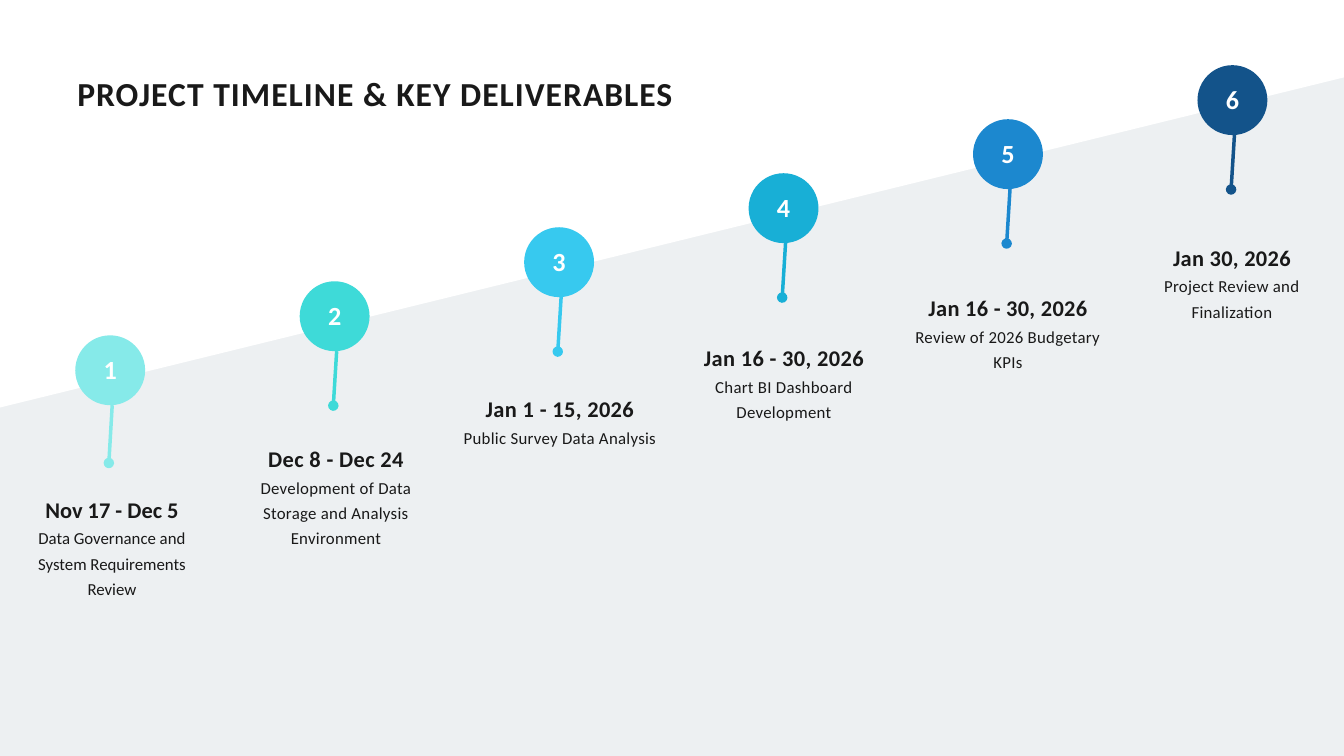
"""Build the project timeline slide with six rising milestones."""
from lxml import etree
from pptx import Presentation
from pptx import util as u
from pptx.dml.color import RGBColor
from pptx.enum import shapes, text
from pptx.oxml import ns

INK = RGBColor(0x19, 0x19, 0x19)
WHITE = RGBColor(0xFF, 0xFF, 0xFF)
PANEL = RGBColor(0xED, 0xF0, 0xF2)
BORDER = RGBColor(0xF4, 0xF4, 0xF4)
AQUA = RGBColor(0x86, 0xEA, 0xE9)
TURQUOISE = RGBColor(0x3E, 0xDA, 0xD8)
SKY = RGBColor(0x37, 0xC9, 0xEF)
CYAN = RGBColor(0x18, 0xAF, 0xD6)
BLUE = RGBColor(0x1C, 0x88, 0xCF)
NAVY = RGBColor(0x13, 0x53, 0x8A)

MILESTONES = [
    (AQUA, "Nov 17 - Dec 5", "Data Governance and System Requirements Review", 0, 0),
    (TURQUOISE, "Dec 8 - Dec 24", "Development of Data Storage and Analysis Environment", 0.4, 0.3),
    (SKY, "Jan 1 - 15, 2026", "Public Survey Data Analysis", 0.4, 0.3),
    (CYAN, "Jan 16 - 30, 2026", "Chart BI Dashboard Development", 0.4, 0.3),
    (BLUE, "Jan 16 - 30, 2026", "Review of 2026 Budgetary KPIs", 0.3, 0.3),
    (NAVY, "Jan 30, 2026", "Project Review and Finalization", 0.3, 0.3),
]
STEP_X = 3.34
STEP_Y = 4.02 / 5
DIAMETER = 1.04


class TimelineSlide:
    """Hold the style and the current slide, and draw its elements."""

    font_name = "Calibri"

    def __init__(self, slide):
        self.slide = slide

    def style(self, paragraph, size, line, color=INK, bold=True, spacing=0,
              align=text.PP_ALIGN.CENTER):
        paragraph.alignment = align
        paragraph.line_spacing = u.Pt(line)
        for run in paragraph.runs:
            run.font.name = self.font_name
            run.font.size = u.Pt(size)
            run.font.bold = bold
            run.font.color.rgb = color
            if spacing:
                run.font._element.set("spc", str(round(spacing * 100)))

    def borders(self, cell):
        properties = cell._tc.get_or_add_tcPr()
        for side in ("a:lnL", "a:lnR", "a:lnT", "a:lnB"):
            line = etree.SubElement(properties, ns.qn(side), w="0")
            fill = etree.SubElement(line, ns.qn("a:solidFill"))
            etree.SubElement(fill, ns.qn("a:srgbClr"), val=str(BORDER))

    def schedule(self, milestones):
        frame = self.slide.shapes.add_table(
            1, len(milestones), u.Inches(0), u.Inches(-0.03), u.Inches(20), u.Inches(11.28))
        table = frame.table
        table.first_row = table.horz_banding = False
        for index, (_, dates, task, date_spacing, task_spacing) in enumerate(milestones):
            cell = table.cell(0, index)
            self.borders(cell)
            cell.fill.solid()
            cell.fill.fore_color.rgb = PANEL
            cell.margin_left = cell.margin_right = cell.margin_bottom = u.Inches(0.21)
            cell.margin_top = u.Inches(7.33 - 0.75 * index)
            cell.text_frame.text = f"{dates}\n{task}"
            date_line, task_line = cell.text_frame.paragraphs
            self.style(date_line, 24, 36, spacing=date_spacing)
            self.style(task_line, 18, 27, bold=False, spacing=task_spacing)

    def shape(self, kind, left, top, width, height, color):
        shape = self.slide.shapes.add_shape(
            kind, u.Inches(left), u.Inches(top), u.Inches(width), u.Inches(height))
        shape.shadow.inherit = False
        shape.fill.solid()
        shape.fill.fore_color.rgb = color
        shape.line.fill.background()
        return shape

    def slope(self):
        band = self.shape(shapes.MSO_SHAPE.RECTANGLE, -2.2, -2.43, 22.67, 6.16, WHITE)
        band.rotation = 346.2

    def marker(self, number, left, top, color):
        circle = self.shape(shapes.MSO_SHAPE.OVAL, left, top, DIAMETER, DIAMETER, color)
        frame = circle.text_frame
        frame.margin_left = frame.margin_right = frame.margin_top = 0
        frame.margin_bottom = u.Inches(0.1)
        frame.vertical_anchor = text.MSO_ANCHOR.MIDDLE
        frame.word_wrap = True
        frame.text = str(number)
        self.style(frame.paragraphs[0], 28, 39.2, WHITE)

    def pin(self, left, top, length, color):
        pin = self.slide.shapes.add_connector(
            shapes.MSO_CONNECTOR.STRAIGHT, u.Inches(left + 0.55), u.Inches(top),
            u.Inches(left + 0.5), u.Inches(top + length))
        pin.line.color.rgb = color
        pin.line.width = u.Pt(3.75)
        etree.SubElement(pin.line._get_or_add_ln(), ns.qn("a:tailEnd"), type="oval")
        etree.SubElement(pin._element.spPr, ns.qn("a:effectLst"))

    def title(self, words):
        box = self.slide.shapes.add_textbox(
            u.Inches(1.15), u.Inches(1.09), u.Inches(13.85), u.Inches(0.6))
        frame = box.text_frame
        frame.margin_left = frame.margin_right = frame.margin_top = frame.margin_bottom = 0
        frame.word_wrap = True
        frame.text = words
        self.style(frame.paragraphs[0], 36, 43.2, spacing=1.1, align=text.PP_ALIGN.LEFT)


def main():
    presentation = Presentation()
    presentation.slide_width = u.Inches(20)
    presentation.slide_height = u.Inches(11.25)
    timeline = TimelineSlide(presentation.slides.add_slide(presentation.slide_layouts[6]))
    timeline.schedule(MILESTONES)
    timeline.slope()
    for index, (color, *_) in enumerate(MILESTONES):
        left = 1.12 + STEP_X * index
        top = 4.99 - STEP_Y * index
        timeline.marker(index + 1, left, top, color)
        timeline.pin(left, top + DIAMETER, 0.81 if index else 0.86, color)
    timeline.title("PROJECT TIMELINE & KEY DELIVERABLES")
    presentation.save("out.pptx")


if __name__ == "__main__":
    main()
